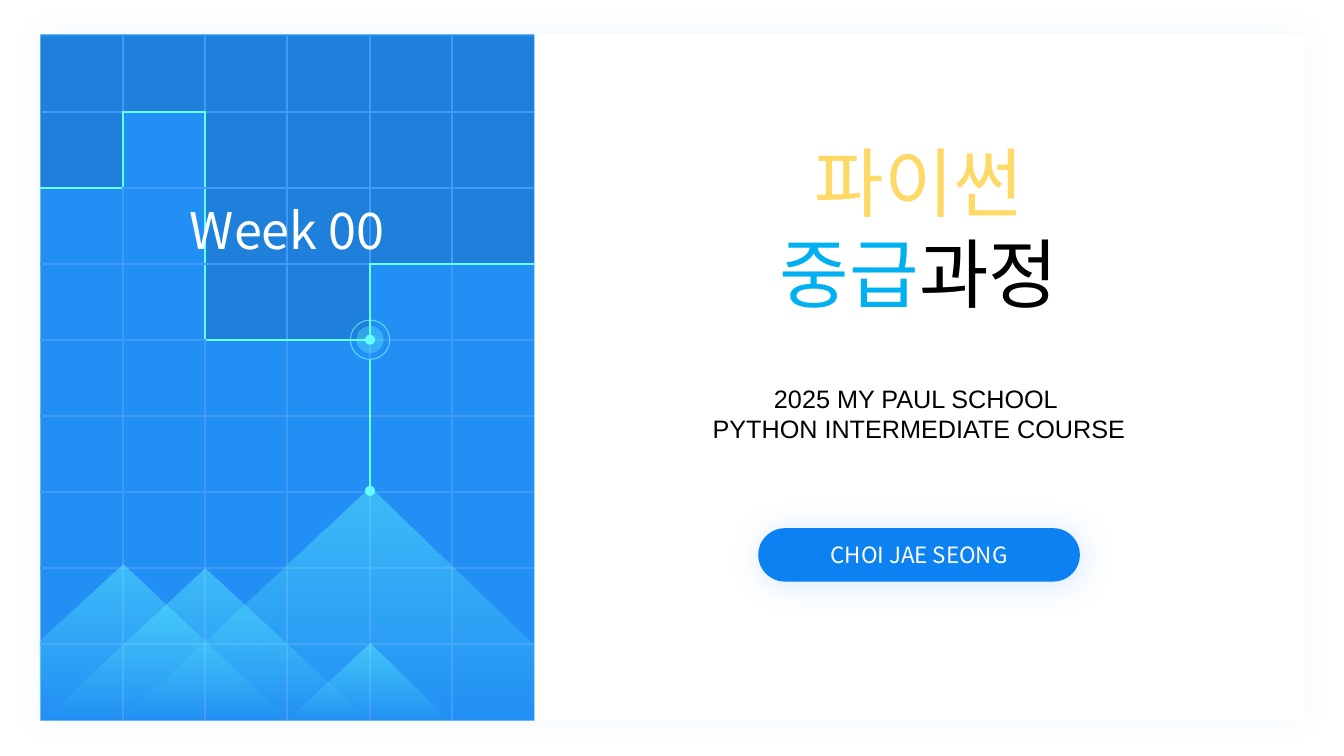
from itertools import product

from pptx import Presentation
from pptx.dml.color import RGBColor
from pptx.enum.shapes import MSO_CONNECTOR, MSO_SHAPE as SHAPE
from pptx.enum.text import MSO_ANCHOR as ANCHOR, PP_ALIGN as ALIGN
from pptx.oxml import parse_xml
from pptx.oxml.ns import nsdecls
from pptx.util import Inches, Pt

BLUE, SKY, GRID, MINT, WHITE, BLACK = "0C81F2", "228FF4", "409BF6", "66FFFF", "FFFFFF", "000000"
KOREAN = "Noto Sans CJK KR"


def color(code):
    return RGBColor.from_string(code)


def write(frame, lines, size=18, font=KOREAN, anchor=ANCHOR.TOP):
    """Fill a frame with centred lines, each a list of (text, colour) spans."""
    frame.word_wrap = True
    frame.vertical_anchor = anchor
    for index, line in enumerate(lines):
        para = frame.add_paragraph() if index else frame.paragraphs[0]
        para.alignment = ALIGN.CENTER
        for text, code in line:
            span = para.add_run()
            span.text = text
            span.font.size, span.font.name = Pt(size), font
            span.font.color.rgb = color(code)
            span.font._element.append(parse_xml(f'<a:ea {nsdecls("a")} typeface="{font}"/>'))


deck = Presentation()
deck.slide_width, deck.slide_height = Inches(13.33), Inches(7.5)
page = deck.slides.add_slide(deck.slide_layouts[5])
shapes = page.shapes

# Panels and name button: kind, place, fill, shadow (opacity, blur, distance, angle)
panels = [
    (SHAPE.RECTANGLE, (0.4, 0.34, 12.54, 6.81), WHITE, (5, 20, 0, 0)),
    (SHAPE.RECTANGLE, (0.4, 0.34, 4.9, 6.81), SKY, None),
    (SHAPE.ROUNDED_RECTANGLE, (7.52, 5.24, 3.19, 0.53), BLUE, (17, 24, 3, 45)),
]
for kind, place, code, shadow in panels:
    panel = shapes.add_shape(kind, *map(Inches, place))
    panel.fill.solid()
    panel.fill.fore_color.rgb = color(code)
    panel.line.fill.background()
    panel.shadow.inherit = False
    if shadow:
        opacity, blur, distance, angle = shadow
        panel.element.xpath(".//a:effectLst")[0].append(parse_xml(
            f'<a:outerShdw {nsdecls("a")} blurRad="{Pt(blur)}" dist="{Pt(distance)}" '
            f'dir="{angle * 60000}" algn="ctr" rotWithShape="0"><a:srgbClr val="{BLUE}">'
            f'<a:alpha val="{opacity * 1000}"/></a:srgbClr></a:outerShdw>'))
button = panel
button.adjustments[0] = 0.5
write(button.text_frame, [[("CHOI JAE SEONG", WHITE)]], size=16, anchor=ANCHOR.MIDDLE)

# Grid: each column is shaded down to its depth, and a mint line follows the edge
ROWS, COLUMNS = 9, 6
LEFT, TOP, WIDTH, HEIGHT = 0.4, 0.36, 4.9, 6.78
shaded_depth = [2, 1, 4, 4, 3, 3]
frame = shapes.add_table(ROWS, COLUMNS, *map(Inches, (LEFT, TOP, WIDTH, HEIGHT)))
grid = frame.table
grid.first_row = grid.horz_banding = False
frame.element.xpath(".//a:tableStyleId")[0].text = "{2D5ABB26-0587-4C30-8999-92F81FD0307C}"
sides = [("lnL", 0, -1), ("lnR", 0, 1), ("lnT", -1, 0), ("lnB", 1, 0)]
for row, column in product(range(ROWS), range(COLUMNS)):
    cell = grid.cell(row, column)
    shaded = row < shaded_depth[column]
    if shaded:
        cell.fill.solid()
        cell.fill.fore_color.rgb = color(BLACK)
    else:
        cell.fill.background()
    properties = cell._tc.get_or_add_tcPr()
    for tint in properties.xpath("./a:solidFill/a:srgbClr"):
        tint.append(parse_xml(f'<a:alpha {nsdecls("a")} val="10000"/>'))
    borders = []
    for tag, down, across in sides:
        next_row, next_column = row + down, column + across
        if 0 <= next_row < ROWS and 0 <= next_column < COLUMNS:
            edge = shaded != (next_row < shaded_depth[next_column])
            borders.append(parse_xml(
                f'<a:{tag} {nsdecls("a")} w="{Pt(1.5)}"><a:solidFill>'
                f'<a:srgbClr val="{MINT if edge else GRID}"/></a:solidFill></a:{tag}>'))
    for index, border in enumerate(borders):
        properties.insert(index, border)

# Week label and course lines
texts = [
    ((0.4, 1.93, 4.9, 0.71), [[("Week 00", WHITE)]], 36, KOREAN),
    ((5.78, 3.75, 6.67, 0.71),
     [[("2025 MY PAUL SCHOOL ", BLACK)], [("PYTHON INTERMEDIATE COURSE", BLACK)]], 18, "Arial"),
]
for place, lines, size, font in texts:
    box = shapes.add_textbox(*map(Inches, place))
    write(box.text_frame, lines, size, font)

# Mountains, fading towards the foot
mountains = [
    [(0.39, 7.13), (0.39, 6.36), (1.22, 5.6), (2.87, 7.15)],
    [(1.2, 7.15), (3.67, 4.84), (5.29, 6.4), (5.29, 7.14)],
    [(0.4, 7.16), (2.03, 5.64), (3.68, 7.16)],
    [(2.84, 7.15), (3.67, 6.38), (4.48, 7.17)],
]
for outline in mountains:
    start, *others = [(Inches(x), Inches(y)) for x, y in outline]
    builder = shapes.build_freeform(*start)
    builder.add_line_segments(others, close=True)
    mountain = builder.convert_to_shape()
    mountain.shadow.inherit = False
    mountain.line.fill.background()
    mountain.fill.gradient()
    mountain.fill.gradient_angle = 270
    for stop in mountain.fill.gradient_stops:
        stop.color.rgb = color(MINT)
    for tint, opacity in zip(mountain.element.xpath(".//a:gs/a:srgbClr"), (41, 0)):
        tint.append(parse_xml(f'<a:alpha {nsdecls("a")} val="{opacity * 1000}"/>'))

# Beacon above the summit
beacon_x, beacon_y, summit_y = 3.67, 3.37, 4.87
stem = shapes.add_connector(MSO_CONNECTOR.STRAIGHT, *map(Inches, (beacon_x, 3.57, beacon_x, 4.84)))
stem.line.color.rgb = color(MINT)
stem.line.width = Pt(1.5)
stem.element.spPr.append(parse_xml(f'<a:effectLst {nsdecls("a")}/>'))
circles = [(0.27, beacon_y, 30, True), (0.39, beacon_y, 70, False),
           (0.1, beacon_y, 100, True), (0.1, summit_y, 100, True)]
for size, center_y, opacity, filled in circles:
    circle = shapes.add_shape(SHAPE.OVAL, Inches(beacon_x - size / 2), Inches(center_y - size / 2),
                              Inches(size), Inches(size))
    circle.shadow.inherit = False
    if filled:
        circle.fill.solid()
        circle.fill.fore_color.rgb = color(MINT)
        circle.line.fill.background()
    else:
        circle.fill.background()
        circle.line.color.rgb = color(MINT)
        circle.line.width = Pt(0.75)
    for tint in circle.element.spPr.xpath(".//a:srgbClr"):
        tint.append(parse_xml(f'<a:alpha {nsdecls("a")} val="{opacity * 1000}"/>'))

# Title, brought in front of the white panel
title = shapes.title
title.left, title.top, title.width, title.height = map(Inches, (5.78, 1.3, 6.67, 1.92))
write(title.text_frame, [[("파이썬", "FFD966")], [("중급", "00B0F0"), ("과정", BLACK)]], size=54)
shapes.element.append(title.element)

deck.save("out.pptx")
